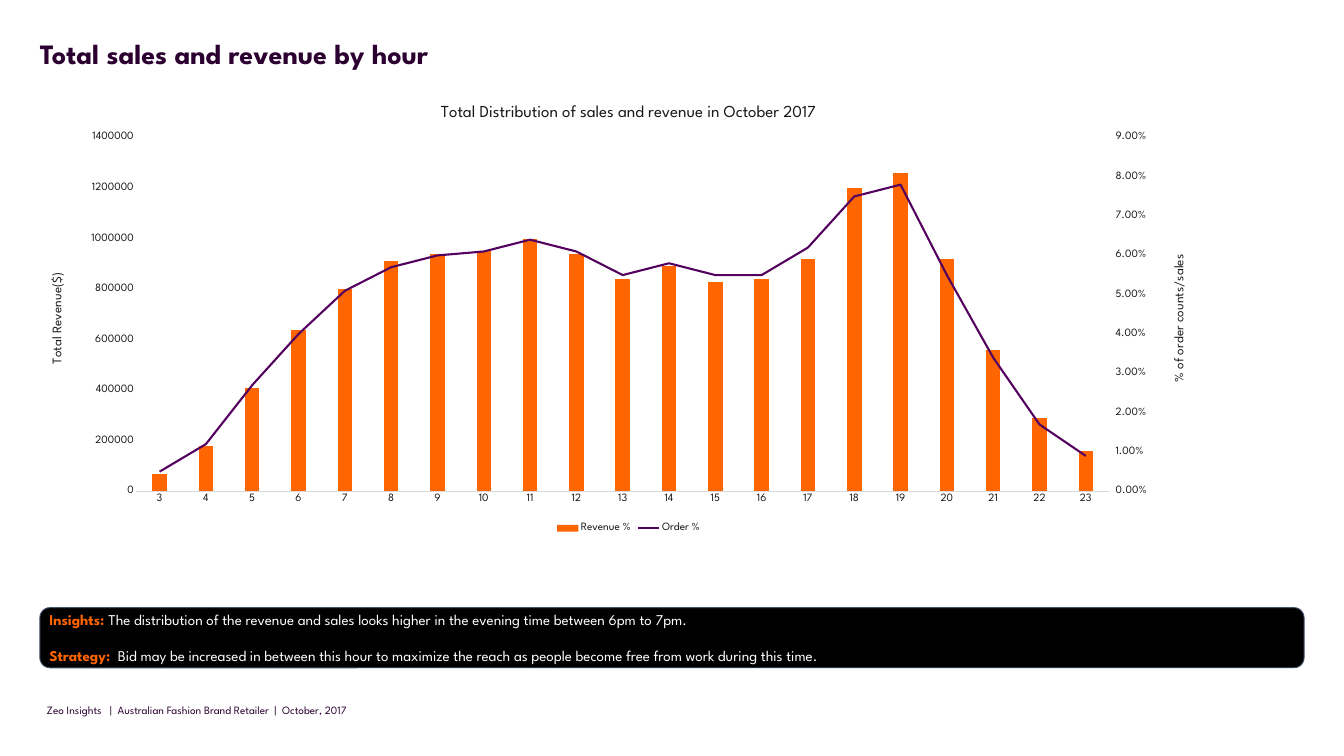
from copy import deepcopy

from lxml.etree import SubElement
from pptx import Presentation
from pptx.chart.axis import ValueAxis
from pptx.chart.data import CategoryChartData
from pptx.dml.color import RGBColor
from pptx.enum.chart import XL_CHART_TYPE, XL_LEGEND_POSITION, XL_MARKER_STYLE, XL_TICK_MARK
from pptx.enum.shapes import MSO_SHAPE
from pptx.enum.text import MSO_ANCHOR, MSO_AUTO_SIZE, PP_ALIGN
from pptx.oxml import parse_xml
from pptx.oxml.ns import nsdecls, qn
from pptx.util import Pt

PX = 9525  # EMU, at 96 px to the inch
FONT = "League Spartan"
ORANGE, PURPLE, PLUM, INK = "FF6500", "54005E", "2B0030", "181717"
WHITE, BLACK, SLATE, GREY = "FFFFFF", "000000", "44546A", "D9D9D9"

HOURS = [str(hour) for hour in range(3, 24)]
REVENUE = [70000, 180000, 410000, 640000, 800000, 910000, 940000, 950000, 1000000, 940000, 840000,
           890000, 830000, 840000, 920000, 1200000, 1260000, 920000, 560000, 290000, 160000]
ORDERS = [0.005, 0.012, 0.027, 0.04, 0.051, 0.057, 0.06, 0.061, 0.064, 0.061, 0.055,
          0.058, 0.055, 0.055, 0.062, 0.075, 0.078, 0.055, 0.034, 0.017, 0.009]
PLOT_AREA = {"x": 0.08, "y": 0.11, "w": 0.83, "h": 0.79}
FINDINGS = [
    ("Insights: ", "The distribution of the revenue and sales looks higher in the evening time "
                   "between 6pm to 7pm."),
    ("Strategy: ", " Bid may be increased in between this hour to maximize the reach as people "
                   "become free from work during this time."),
]


def rgb(value):
    return RGBColor.from_string(value)


def box(*lengths):
    return [length * PX for length in lengths]


def set_values(element, values):
    """Set the val attribute of the named chart children."""
    for tag, value in values.items():
        element.find(qn(f"c:{tag}")).set("val", value)


def split_off_line(chart):
    """Move the second column series to a line plot on a right-hand axis."""
    plot_area = chart.element.find(".//" + qn("c:plotArea"))
    bars = plot_area.find(qn("c:barChart"))
    orders = bars.findall(qn("c:ser"))[1]
    for bar_only in orders.findall(qn("c:invertIfNegative")):
        orders.remove(bar_only)
    lines = parse_xml(f'<c:lineChart {nsdecls("c")}><c:grouping val="standard"/>'
                      '<c:varyColors val="0"/></c:lineChart>')
    lines.append(orders)
    for axis_id in ("9001", "9002"):
        SubElement(lines, qn("c:axId")).set("val", axis_id)
    bars.addnext(lines)

    left = plot_area.find(qn("c:valAx"))
    right, hidden = deepcopy(left), deepcopy(plot_area.find(qn("c:catAx")))
    set_values(hidden, {"axId": "9001", "crossAx": "9002", "delete": "1"})
    set_values(right, {"axId": "9002", "crossAx": "9001", "axPos": "r", "crosses": "max"})
    left.addnext(right)
    right.addnext(hidden)
    return left, right


def place_plot(chart, fractions):
    plot_area = chart.element.find(".//" + qn("c:plotArea"))
    for old in plot_area.findall(qn("c:layout")):
        plot_area.remove(old)
    modes = '<c:xMode val="edge"/><c:yMode val="edge"/>'
    sizes = "".join(f'<c:{key} val="{value}"/>' for key, value in fractions.items())
    plot_area.insert(0, parse_xml(
        f'<c:layout {nsdecls("c")}><c:manualLayout><c:layoutTarget val="inner"/>'
        f'{modes}{sizes}</c:manualLayout></c:layout>'))


class SlideBuilder:
    def __init__(self, slide):
        self.slide = slide

    def style(self, font, size, color, bold=False):
        for name, value in {"name": FONT, "size": Pt(size), "bold": bold}.items():
            setattr(font, name, value)
        font.color.rgb = rgb(color)

    def run(self, paragraph, text, size, color, bold=False):
        run = paragraph.add_run()
        run.text = text
        self.style(run.font, size, color, bold)

    def title(self, text, *place):
        heading = self.slide.shapes.title
        heading.left, heading.top, heading.width, heading.height = box(*place)
        frame = heading.text_frame
        settings = {"margin_left": 0, "margin_top": 0, "margin_right": 10 * PX,
                    "margin_bottom": 5 * PX, "vertical_anchor": MSO_ANCHOR.TOP,
                    "auto_size": MSO_AUTO_SIZE.NONE, "word_wrap": True}
        for name, value in settings.items():
            setattr(frame, name, value)
        paragraph = frame.paragraphs[0]
        paragraph.alignment = PP_ALIGN.LEFT
        paragraph.line_spacing = 0.9
        self.run(paragraph, text, 30, PLUM, True)

    def text(self, text, *place):
        frame = self.slide.shapes.add_textbox(*box(*place)).text_frame
        frame.word_wrap = True
        self.run(frame.paragraphs[0], text, 12, PLUM)

    def callout(self, findings, *place):
        panel = self.slide.shapes.add_shape(MSO_SHAPE.ROUNDED_RECTANGLE, *box(*place))
        panel.shadow.inherit = False
        panel.fill.solid()
        panel.fill.fore_color.rgb = rgb(BLACK)
        panel.line.color.rgb = rgb(SLATE)
        panel.line.width = Pt(1)
        frame = panel.text_frame
        frame.vertical_anchor = MSO_ANCHOR.MIDDLE
        for index, (label, finding) in enumerate(findings):
            paragraph = frame.add_paragraph() if index else frame.paragraphs[0]
            paragraph.alignment = PP_ALIGN.LEFT
            if index:
                paragraph.space_before = Pt(19)
            self.run(paragraph, label, 16, ORANGE, True)
            self.run(paragraph, finding, 16, WHITE)

    def value_axis(self, element, title, top, step, number_format, tick):
        axis = ValueAxis(element)
        settings = {"minimum_scale": 0, "maximum_scale": top, "major_unit": step,
                    "has_major_gridlines": False, "major_tick_mark": tick}
        for name, value in settings.items():
            setattr(axis, name, value)
        axis.format.line.fill.background()
        axis.tick_labels.number_format = number_format
        axis.tick_labels.number_format_is_linked = False
        self.style(axis.tick_labels.font, 12, INK)
        self.run(axis.axis_title.text_frame.paragraphs[0], title, 14, INK)
        body = element.find(".//" + qn("c:title") + "//" + qn("a:bodyPr"))
        body.set("rot", "-5400000")
        body.set("vert", "horz")

    def chart(self, title, *place):
        data = CategoryChartData()
        data.categories = HOURS
        data.add_series("Revenue %", REVENUE, "General")
        data.add_series("Order %", ORDERS, "0.00%")
        chart = self.slide.shapes.add_chart(
            XL_CHART_TYPE.COLUMN_CLUSTERED, *box(*place), data).chart
        self.style(chart.font, 12, INK)
        left, right = split_off_line(chart)
        place_plot(chart, PLOT_AREA)

        columns, lines = chart.plots
        columns.gap_width = 219
        columns.vary_by_categories = False
        revenue, orders = columns.series[0], lines.series[0]
        revenue.format.fill.solid()
        revenue.format.fill.fore_color.rgb = rgb(ORANGE)
        orders.smooth = False
        orders.marker.style = XL_MARKER_STYLE.NONE
        orders.format.line.color.rgb = rgb(PURPLE)
        orders.format.line.width = Pt(2.25)

        self.value_axis(left, "Total Revenue($)", 1400000, 200000, "General", XL_TICK_MARK.NONE)
        self.value_axis(right, "% of order counts/sales", 0.09, 0.01, "0.00%",
                        XL_TICK_MARK.OUTSIDE)
        hours = chart.category_axis
        hours.major_tick_mark = XL_TICK_MARK.NONE
        hours.format.line.color.rgb = rgb(GREY)
        hours.format.line.width = Pt(0.75)
        self.style(hours.tick_labels.font, 12, INK)

        chart.has_title = True
        self.run(chart.chart_title.text_frame.paragraphs[0], title, 18, INK)
        chart.has_legend = True
        chart.legend.position = XL_LEGEND_POSITION.BOTTOM
        chart.legend.include_in_layout = False
        self.style(chart.legend.font, 12, INK)


def main():
    deck = Presentation()
    deck.slide_width, deck.slide_height = box(1920, 1080)
    page = SlideBuilder(deck.slides.add_slide(deck.slide_layouts[5]))
    page.title("Total sales and revenue by hour", 57, 57, 1338, 37)
    page.callout(FINDINGS, 57, 868, 1806, 86)
    page.chart("Total Distribution of sales and revenue in October 2017", 61, 126, 1674, 640)
    page.text("Zeo Insights   |  Australian Fashion Brand Retailer  |  October, 2017",
              57, 1000, 979, 36)
    deck.save("out.pptx")


if __name__ == "__main__":
    main()
